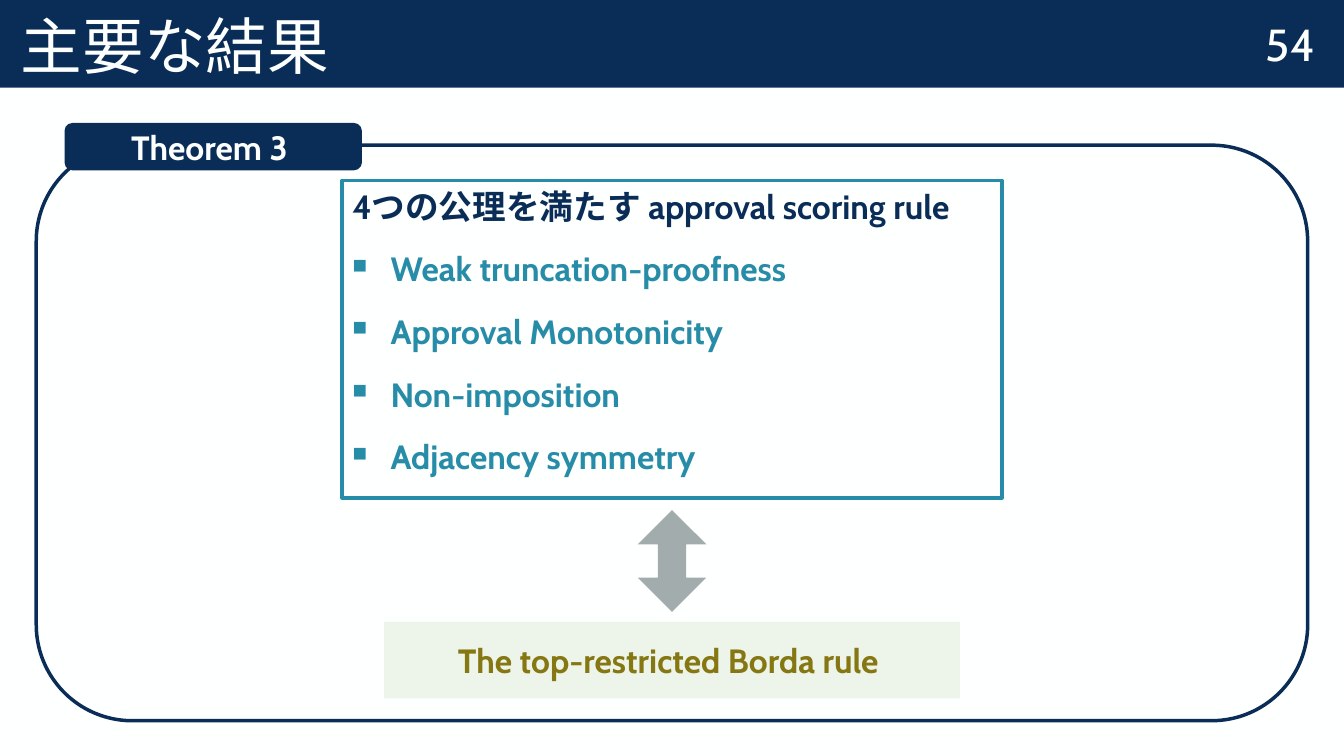
from lxml.etree import SubElement
from pptx import Presentation
from pptx.dml.color import RGBColor
from pptx.enum.shapes import MSO_SHAPE as Shape
from pptx.enum.text import MSO_ANCHOR as Anchor, PP_ALIGN as Align
from pptx.oxml.ns import qn
from pptx.util import Inches, Pt

NAVY, TEAL, WHITE = "092D57", "278CA7", "FEFFFF"
GREEN, OLIVE, GRAY = "689E38", "857712", "A3ACAC"
AXIOMS = ["Weak truncation-proofness", "Approval Monotonicity",
          "Non-imposition", "Adjacency symmetry"]


def color(hex_code):
    """Turn a hex string into a colour."""
    return RGBColor.from_string(hex_code)


class TheoremSlide:
    """Holds the style and the slide; lengths are percentages of its size."""

    font = "Cabin"

    def __init__(self, deck):
        """Add a blank page with a plain background."""
        self.deck = deck
        self.page = deck.slides.add_slide(deck.slide_layouts[6])
        background = self.page.background.fill
        background.solid()
        background.fore_color.rgb = color(WHITE)

    def place(self, top, width, height, left=None):
        """Convert shares to lengths, centring when no left is given."""
        left = (100 - width) / 2 if left is None else left
        across, down = self.deck.slide_width / 100, self.deck.slide_height / 100
        return [round(length) for length in
                (left * across, top * down, width * across, height * down)]

    def shape(self, kind, spot, fill=None, line=None, weight=0, opacity=100):
        """Add a preset shape with a flat fill or an outline."""
        box = self.page.shapes.add_shape(kind, *self.place(*spot))
        box.shadow.inherit = False
        if fill:
            box.fill.solid()
            box.fill.fore_color.rgb = color(fill)
            if opacity < 100:
                tint = box.element.spPr.find(".//" + qn("a:srgbClr"))
                SubElement(tint, qn("a:alpha"), val=str(opacity * 1000))
        else:
            box.fill.background()
        if line:
            box.line.color.rgb = color(line)
            box.line.width = Pt(weight)
        else:
            box.line.fill.background()
        return box

    def textbox(self, spot):
        """Add an empty text box."""
        return self.page.shapes.add_textbox(*self.place(*spot))

    def add_lines(self, box, lines, size, align=Align.CENTER,
                  anchor=Anchor.MIDDLE, bold=False, before=0):
        """Put (text, colour) lines into a box and return the paragraphs."""
        frame = box.text_frame
        frame.word_wrap = True
        frame.vertical_anchor = anchor
        for index, (text, hue) in enumerate(lines):
            para = frame.add_paragraph() if index else frame.paragraphs[0]
            para.alignment = align
            para.space_before = Pt(before)
            span = para.add_run()
            span.text = text
            span.font.name = self.font
            span.font.size = Pt(size)
            span.font.bold = bold
            span.font.color.rgb = color(hue)
        return frame.paragraphs

    def indent(self, para, margin, first):
        """Set the left margin and first-line indent in inches."""
        properties = para._p.get_or_add_pPr()
        properties.set("marL", str(Inches(margin)))
        properties.set("indent", str(Inches(first)))
        return properties

    def bullet(self, para):
        """Give a paragraph a small square bullet."""
        properties = self.indent(para, 0.38, -0.38)
        SubElement(properties, qn("a:buSzPct"), val="60000")
        SubElement(properties, qn("a:buChar"), char="■")


def main():
    """Build and save the slide."""
    deck = Presentation()
    deck.slide_width, deck.slide_height = Inches(13.33), Inches(7.5)
    slide = TheoremSlide(deck)

    rule = slide.shape(Shape.RECTANGLE, (82.27, 42.84, 10.13), GREEN, opacity=11)
    slide.add_lines(rule, [("The top-restricted Borda rule ", OLIVE)], 24,
                    bold=True, before=6)

    banner = slide.shape(Shape.RECTANGLE, (0, 100, 11.6), NAVY)
    title = slide.add_lines(banner, [("主要な結果", WHITE)], 44,
                            Align.LEFT, Anchor.BOTTOM)[0]
    title.line_spacing = 0.9
    slide.indent(title, 0, 0.11)
    number = slide.textbox((0, 7.8, 11.47, 92.12))
    slide.add_lines(number, [("54", WHITE)], 32)

    slide.shape(Shape.ROUNDED_RECTANGLE, (19.2, 94.6, 76.13), line=NAVY, weight=2.5)
    label = slide.shape(Shape.ROUNDED_RECTANGLE, (16.27, 22.13, 6.27, 4.8), NAVY)
    slide.add_lines(label, [("Theorem 3 ", WHITE)], 24, bold=True)

    axioms = slide.shape(Shape.RECTANGLE, (23.87, 49.06, 42), line=TEAL, weight=2.75)
    lines = [("4つの公理を満たす approval scoring rule", NAVY)]
    lines += [(axiom, TEAL) for axiom in AXIOMS]
    paras = slide.add_lines(axioms, lines, 24, Align.LEFT, Anchor.TOP, True, 16)
    for para in paras[1:]:
        slide.bullet(para)

    arrow = slide.shape(Shape.UP_DOWN_ARROW, (67.47, 5.1, 13.47), GRAY)
    arrow.adjustments[0], arrow.adjustments[1] = 0.53, 0.41

    deck.save("out.pptx")


if __name__ == "__main__":
    main()
